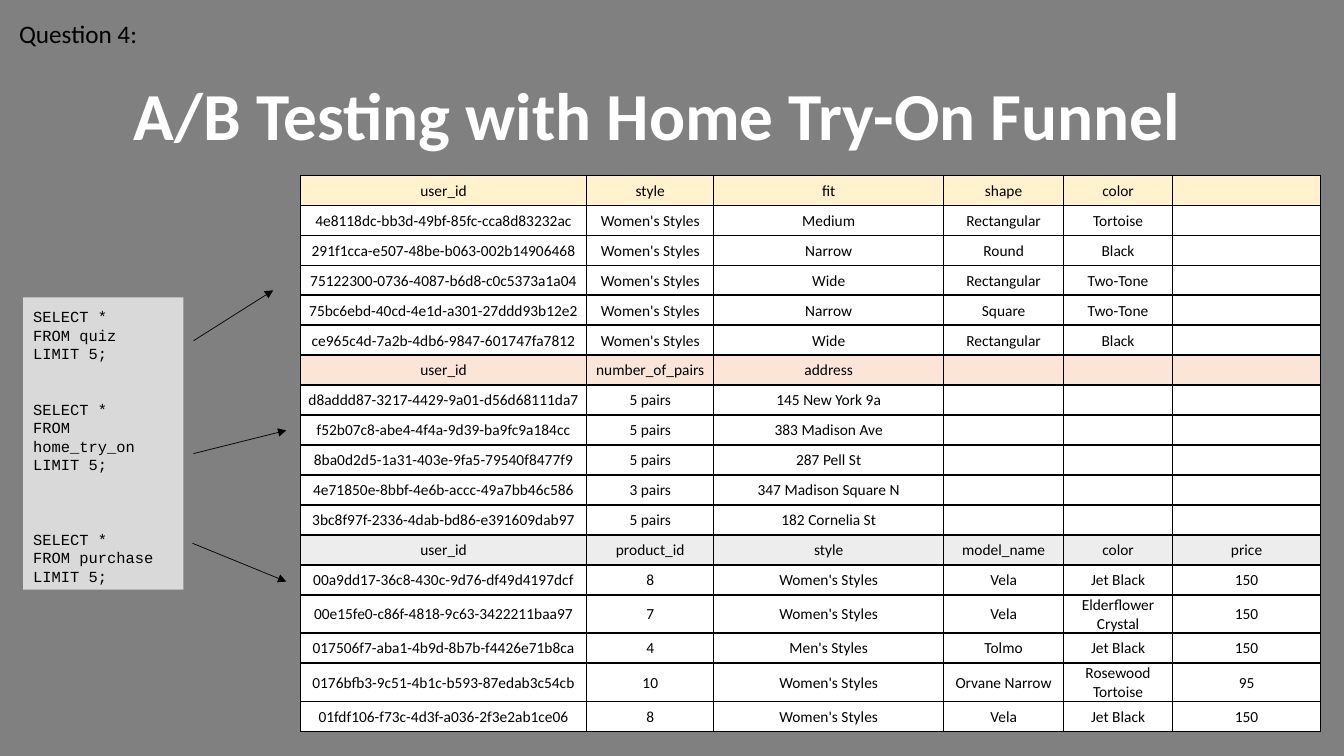
from lxml.etree import SubElement
from pptx import Presentation
from pptx.dml.color import RGBColor
from pptx.enum.shapes import MSO_CONNECTOR as CONN, MSO_SHAPE as SHAPE
from pptx.enum.text import MSO_ANCHOR as ANCHOR, PP_ALIGN as ALIGN
from pptx.oxml.ns import qn
from pptx.util import Inches, Pt

TITLE = "A/B Testing with Home Try-On Funnel"
LABEL = "Question 4:"
SECTIONS = [
    ("FFF2CC", ["user_id", "style", "fit", "shape", "color"], [
        ["4e8118dc-bb3d-49bf-85fc-cca8d83232ac", "Women's Styles", "Medium", "Rectangular", "Tortoise"],
        ["291f1cca-e507-48be-b063-002b14906468", "Women's Styles", "Narrow", "Round", "Black"],
        ["75122300-0736-4087-b6d8-c0c5373a1a04", "Women's Styles", "Wide", "Rectangular", "Two-Tone"],
        ["75bc6ebd-40cd-4e1d-a301-27ddd93b12e2", "Women's Styles", "Narrow", "Square", "Two-Tone"],
        ["ce965c4d-7a2b-4db6-9847-601747fa7812", "Women's Styles", "Wide", "Rectangular", "Black"],
    ]),
    ("FBE5D6", ["user_id", "number_of_pairs", "address"], [
        ["d8addd87-3217-4429-9a01-d56d68111da7", "5 pairs", "145 New York 9a"],
        ["f52b07c8-abe4-4f4a-9d39-ba9fc9a184cc", "5 pairs", "383 Madison Ave"],
        ["8ba0d2d5-1a31-403e-9fa5-79540f8477f9", "5 pairs", "287 Pell St"],
        ["4e71850e-8bbf-4e6b-accc-49a7bb46c586", "3 pairs", "347 Madison Square N"],
        ["3bc8f97f-2336-4dab-bd86-e391609dab97", "5 pairs", "182 Cornelia St"],
    ]),
    ("EDEDED", ["user_id", "product_id", "style", "model_name", "color", "price"], [
        ["00a9dd17-36c8-430c-9d76-df49d4197dcf", "8", "Women's Styles", "Vela", "Jet Black", "150"],
        ["00e15fe0-c86f-4818-9c63-3422211baa97", "7", "Women's Styles", "Vela", "Elderflower Crystal", "150"],
        ["017506f7-aba1-4b9d-8b7b-f4426e71b8ca", "4", "Men's Styles", "Tolmo", "Jet Black", "150"],
        ["0176bfb3-9c51-4b1c-b593-87edab3c54cb", "10", "Women's Styles", "Orvane Narrow", "Rosewood Tortoise", "95"],
        ["01fdf106-f73c-4d3f-a036-2f3e2ab1ce06", "8", "Women's Styles", "Vela", "Jet Black", "150"],
    ]),
]
COL_WIDTHS = [2.84, 1.26, 2.28, 1.19, 1.08, 1.47]
TABLE_HEIGHT, TALL_ROW = 5.52, 0.38
TWO_LINE_COLORS = {"Elderflower Crystal", "Rosewood Tortoise"}
QUERIES = [
    (0, ["SELECT *", "FROM quiz", "LIMIT 5;"]),
    (26.5, ["SELECT *", "FROM home_try_on", "LIMIT 5;"]),
    (40, ["SELECT *", "FROM purchase", "LIMIT 5;"]),
]
ARROWS = [(1.92, 3.38, 2.71, 2.88), (1.92, 4.5, 2.84, 4.27), (1.91, 5.39, 2.84, 5.77)]
BORDERS = {"L": 0.75, "R": 0.75, "T": 1.25, "B": 1.25}


def rgb(value):
    return RGBColor.from_string(value)


def apply(obj, **values):
    for name, value in values.items():
        setattr(obj, name, value)


def write(p, text, size, font="Calibri", color="000000", bold=False):
    r = p.add_run()
    r.text = text
    apply(r.font, name=font, size=Pt(size), bold=bold)
    r.font.color.rgb = rgb(color)


def text_box(text, box, size, **style):
    tf = s.shapes.add_textbox(*map(Inches, box)).text_frame
    tf.word_wrap = True
    write(tf.paragraphs[0], text, size, **style)


def border(cell):
    tc_pr = cell._tc.get_or_add_tcPr()
    for side, width in BORDERS.items():
        ln = SubElement(tc_pr, qn(f"a:ln{side}"), w=str(Pt(width)))
        fill = SubElement(ln, qn("a:solidFill"))
        SubElement(fill, qn("a:srgbClr"), val="000000")


def fill_cell(cell, text, color):
    edge = Inches(0.01)
    border(cell)
    apply(cell, margin_left=edge, margin_right=edge, margin_top=edge,
          margin_bottom=0, vertical_anchor=ANCHOR.MIDDLE)
    cell.fill.solid()
    cell.fill.fore_color.rgb = rgb(color)
    p = cell.text_frame.paragraphs[0]
    p.alignment = ALIGN.CENTER
    if text:
        write(p, text, 11)
    else:
        SubElement(p._p, qn("a:endParaRPr"), sz="1100")


prs = Presentation()
apply(prs, slide_width=Inches(13.33), slide_height=Inches(7.5))
s = prs.slides.add_slide(prs.slide_layouts[6])
s.background.fill.solid()
s.background.fill.fore_color.rgb = rgb("808080")

text_box(TITLE, (1.23, 0.68, 10.88, 0.91), 48, color="FFFFFF", bold=True)
text_box(LABEL, (0.09, 0.13, 1.59, 0.4), 18)

rows = []
for color, header, records in SECTIONS:
    rows += [(color, header)] + [("FFFFFF", record) for record in records]
tall = [bool(TWO_LINE_COLORS & set(row)) for _, row in rows]
row_height = (TABLE_HEIGHT - TALL_ROW * sum(tall)) / (len(rows) - sum(tall))
table = s.shapes.add_table(len(rows), len(COL_WIDTHS), Inches(2.98), Inches(1.74),
                           Inches(sum(COL_WIDTHS)), Inches(TABLE_HEIGHT)).table
apply(table, first_row=False, horz_banding=False)
for column, width in zip(table.columns, COL_WIDTHS):
    column.width = Inches(width)
for i, (color, row) in enumerate(rows):
    table.rows[i].height = Inches(TALL_ROW if tall[i] else row_height)
    for j in range(len(COL_WIDTHS)):
        fill_cell(table.cell(i, j), row[j] if j < len(row) else "", color)

sp = s.shapes.add_shape(SHAPE.RECTANGLE, *map(Inches, (0.23, 2.95, 1.59, 2.9)))
sp.shadow.inherit = False
sp.fill.solid()
sp.fill.fore_color.rgb = rgb("D9D9D9")
sp.line.fill.background()
tf = sp.text_frame
pad = Inches(0.1)
apply(tf, word_wrap=True, vertical_anchor=ANCHOR.TOP, margin_left=pad,
      margin_right=pad, margin_top=pad, margin_bottom=pad)
for gap, lines in QUERIES:
    for k, line in enumerate(lines):
        p = tf.add_paragraph() if tf.text else tf.paragraphs[0]
        apply(p, alignment=ALIGN.LEFT, line_spacing=1.0,
              space_before=Pt(0 if k else gap), space_after=Pt(0))
        write(p, line, 11, font="Courier New")

for ends in ARROWS:
    arrow = s.shapes.add_connector(CONN.STRAIGHT, *map(Inches, ends))
    arrow.line.width = Pt(0.5)
    arrow.line.color.rgb = rgb("000000")
    SubElement(arrow.line._get_or_add_ln(), qn("a:tailEnd"), type="triangle")
    SubElement(arrow._element.spPr, qn("a:effectLst"))

prs.save("out.pptx")
